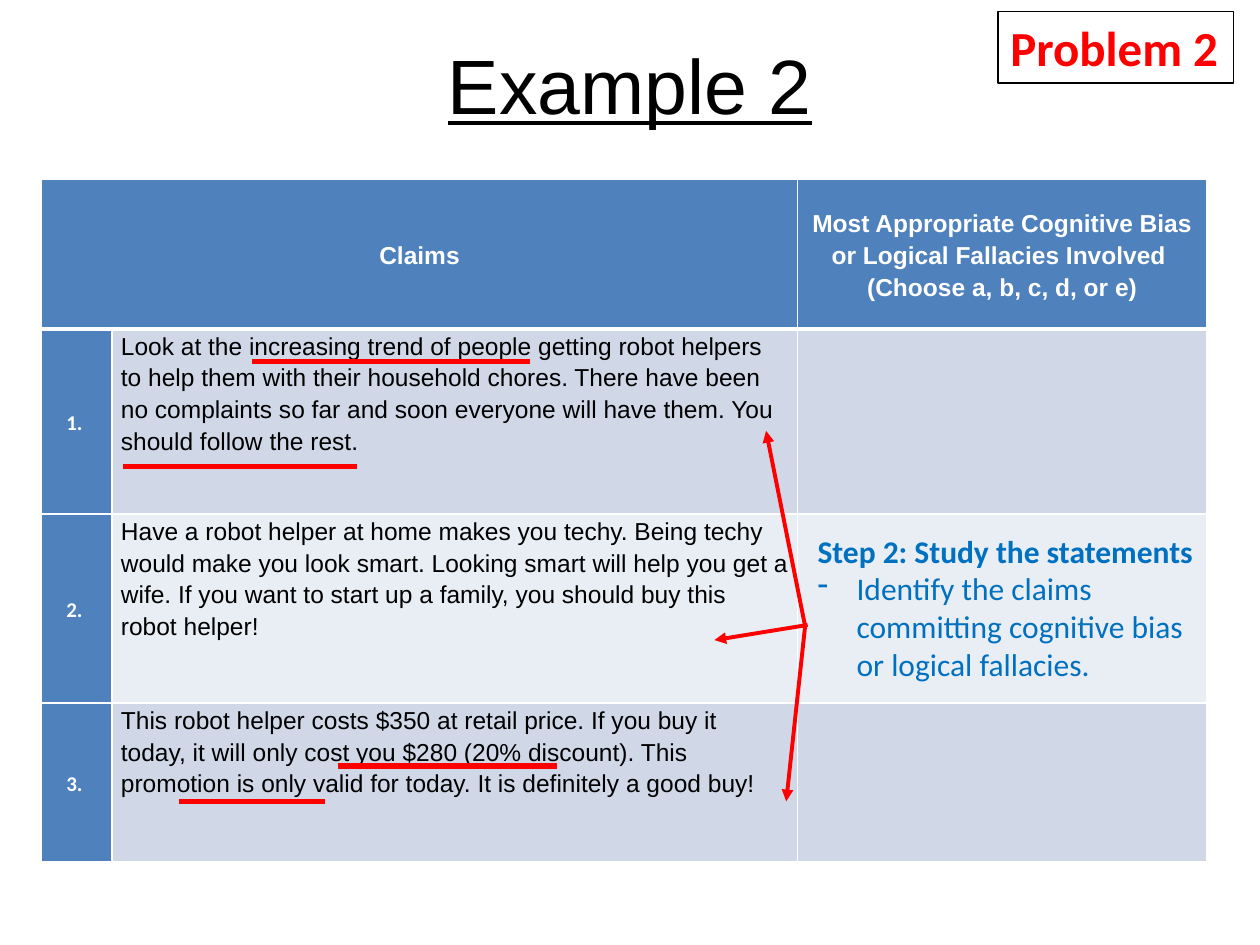
from dataclasses import dataclass

from lxml import etree
from pptx import Presentation
from pptx.dml.color import RGBColor
from pptx.enum.shapes import MSO_CONNECTOR, MSO_SHAPE
from pptx.enum.text import MSO_ANCHOR, MSO_AUTO_SIZE, PP_ALIGN
from pptx.oxml.ns import qn
from pptx.util import Inches, Pt

STRAIGHT = MSO_CONNECTOR.STRAIGHT
RECTANGLE = MSO_SHAPE.RECTANGLE
MIDDLE, TOP = MSO_ANCHOR.MIDDLE, MSO_ANCHOR.TOP
CENTER, LEFT = PP_ALIGN.CENTER, PP_ALIGN.LEFT
FIT_SHAPE = MSO_AUTO_SIZE.SHAPE_TO_FIT_TEXT
TITLE_ONLY = 5


@dataclass(frozen=True)
class Theme:
    body_font: str = "Arial"
    note_font: str = "Calibri"
    black: str = "000000"
    white: str = "FFFFFF"
    red: str = "FF0000"
    note_blue: str = "0070C0"
    header_blue: str = "4F81BD"
    bands: tuple = ("D0D8E8", "E9EDF4")
    title_size: float = 44
    label_size: float = 28
    note_size: float = 18
    claim_size: float = 14
    number_size: float = 12


THEME = Theme()

HEADER_LINES = (
    "Most Appropriate Cognitive Bias or Logical Fallacies Involved ",
    "(Choose a, b, c, d, or e)",
)
CLAIMS = (
    "Look at the increasing trend of people getting robot helpers to help them "
    "with their household chores. There have been no complaints so far and soon "
    "everyone will have them. You should follow the rest.",
    "Have a robot helper at home makes you techy. Being techy would make you look "
    "smart. Looking smart will help you get a wife. If you want to start up a "
    "family, you should buy this robot helper!",
    "This robot helper costs $350 at retail price. If you buy it today, it will "
    "only cost you $280 (20% discount). This promotion is only valid for today. "
    "It is definitely a good buy!",
)
COLUMN_WIDTHS = (0.56, 5.44, 3.25)
ROW_HEIGHTS = (1.19, 1.47, 1.5, 1.26)

# Left, top and length, from the table's corner
UNDERLINES = (
    (1.67, 1.45, 2.21),
    (0.65, 2.28, 1.85),
    (1.09, 4.94, 1.16),
    (2.35, 4.66, 1.74),
)
# Start and end, from the note's corner
ARROWS = (
    ((0, 0.8), (-0.31, -0.75)),
    ((0.02, 0.79), (-0.72, 0.91)),
    ((0, 0.8), (-0.15, 2.19)),
)


def add_run(paragraph, text, font, size, color, bold=False, underline=False):
    run = paragraph.add_run()
    run.text = text
    run.font.name = font
    run.font.size = Pt(size)
    run.font.bold = bold
    run.font.underline = underline
    run.font.color.rgb = RGBColor.from_string(color)


def place(shape, box):
    shape.left, shape.top, shape.width, shape.height = map(Inches, box)


def add_line(slide, start, end, width, arrow=False):
    line = slide.shapes.add_connector(STRAIGHT, *map(Inches, (*start, *end)))
    line.line.color.rgb = RGBColor.from_string(THEME.red)
    line.line.width = Pt(width)
    if arrow:
        etree.SubElement(line.line._get_or_add_ln(), qn("a:tailEnd"), type="triangle")
    etree.SubElement(line._element.spPr, qn("a:effectLst"))


def style_cell(cell, fill, bottom_width=1):
    cell.fill.solid()
    cell.fill.fore_color.rgb = RGBColor.from_string(fill)
    properties = cell._tc.get_or_add_tcPr()
    for index, side in enumerate("LRTB"):
        width = bottom_width if side == "B" else 1
        border = etree.Element(qn(f"a:ln{side}"), w=str(Pt(width)))
        solid = etree.SubElement(border, qn("a:solidFill"))
        etree.SubElement(solid, qn("a:srgbClr"), val=THEME.white)
        properties.insert(index, border)


def prepare_text(cell, anchor, alignment, space_after=0):
    cell.vertical_anchor = anchor
    cell.margin_left = cell.margin_right = Inches(0.07)
    cell.margin_top = cell.margin_bottom = 0
    paragraph = cell.text_frame.paragraphs[0]
    paragraph.alignment = alignment
    paragraph.line_spacing = 1.15
    paragraph.space_after = Pt(space_after)
    return paragraph


def add_title(slide, box):
    title = slide.shapes.title
    place(title, box)
    title.text_frame.vertical_anchor = MIDDLE
    paragraph = title.text_frame.paragraphs[0]
    paragraph.alignment = CENTER
    add_run(paragraph, "Example 2", THEME.body_font, THEME.title_size,
            THEME.black, underline=True)


def add_claims_table(slide, box):
    table = slide.shapes.add_table(
        len(ROW_HEIGHTS), len(COLUMN_WIDTHS), *map(Inches, box)).table
    for column, width in zip(table.columns, COLUMN_WIDTHS):
        column.width = Inches(width)
    for row, height in zip(table.rows, ROW_HEIGHTS):
        row.height = Inches(height)

    # Header row
    table.cell(0, 0).merge(table.cell(0, 1))
    for column in range(len(COLUMN_WIDTHS)):
        style_cell(table.cell(0, column), THEME.header_blue, bottom_width=3)
    header_style = (THEME.body_font, THEME.claim_size, THEME.white, True)
    add_run(prepare_text(table.cell(0, 0), MIDDLE, CENTER, 10), "Claims", *header_style)
    paragraph = prepare_text(table.cell(0, 2), MIDDLE, CENTER)
    add_run(paragraph, HEADER_LINES[0], *header_style)
    paragraph.add_line_break()
    add_run(paragraph, HEADER_LINES[1], *header_style)

    # Numbered claims with an empty answer cell
    for number, claim in enumerate(CLAIMS, start=1):
        band = THEME.bands[(number - 1) % len(THEME.bands)]
        for column, fill in enumerate((THEME.header_blue, band, band)):
            style_cell(table.cell(number, column), fill)
        add_run(prepare_text(table.cell(number, 0), MIDDLE, CENTER), f"{number}. ",
                THEME.note_font, THEME.number_size, THEME.white, bold=True)
        add_run(prepare_text(table.cell(number, 1), TOP, LEFT, 10), claim,
                THEME.body_font, THEME.claim_size, THEME.black)


def add_underlines(slide, box):
    for left, top, length in UNDERLINES:
        x, y = box[0] + left, box[1] + top
        add_line(slide, (x, y), (x + length, y), 3)


def add_problem_label(slide, box):
    label = slide.shapes.add_shape(RECTANGLE, *map(Inches, box))
    label.shadow.inherit = False
    label.fill.background()
    label.line.color.rgb = RGBColor.from_string(THEME.black)
    label.line.width = Pt(0.75)
    frame = label.text_frame
    frame.word_wrap = False
    frame.auto_size = FIT_SHAPE
    frame.vertical_anchor = TOP
    paragraph = frame.paragraphs[0]
    paragraph.alignment = LEFT
    add_run(paragraph, "Problem 2", THEME.note_font, THEME.label_size,
            THEME.red, bold=True)


def add_step_note(slide, box):
    # Arrows from the note to each claim
    for start, end in ARROWS:
        points = [(box[0] + x, box[1] + y) for x, y in (start, end)]
        add_line(slide, *points, 2.25, arrow=True)

    # Heading and dashed item
    frame = slide.shapes.add_textbox(*map(Inches, box)).text_frame
    frame.word_wrap = True
    frame.auto_size = FIT_SHAPE
    note_style = (THEME.note_font, THEME.note_size, THEME.note_blue)
    add_run(frame.paragraphs[0], "Step 2: Study the statements", *note_style, bold=True)
    item = frame.add_paragraph()
    properties = item._p.get_or_add_pPr()
    properties.set("marL", str(Inches(0.31)))
    properties.set("indent", str(Inches(-0.31)))
    etree.SubElement(properties, qn("a:buChar"), char="-")
    add_run(item, "Identify the claims committing cognitive bias or logical fallacies.",
            *note_style)


def main():
    presentation = Presentation()
    presentation.slide_width, presentation.slide_height = Inches(10), Inches(7.5)
    slide = presentation.slides.add_slide(presentation.slide_layouts[TITLE_ONLY])
    table_box = (0.33, 1.42, sum(COLUMN_WIDTHS), sum(ROW_HEIGHTS))
    add_title(slide, (0, 0, 10, 1.33))
    add_claims_table(slide, table_box)
    add_problem_label(slide, (7.92, 0.09, 1.87, 0.57))
    add_underlines(slide, table_box)
    add_step_note(slide, (6.39, 4.17, 3.19, 1.62))
    presentation.save("out.pptx")


if __name__ == "__main__":
    main()
